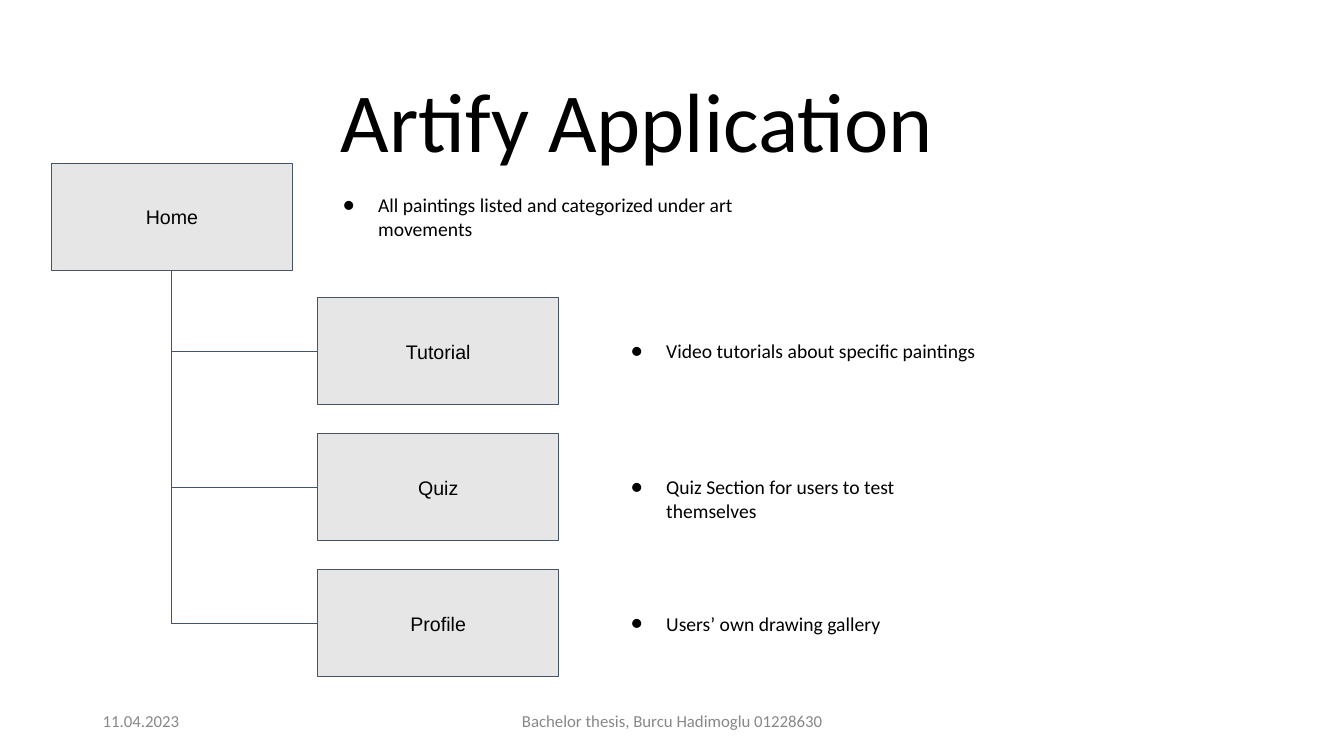
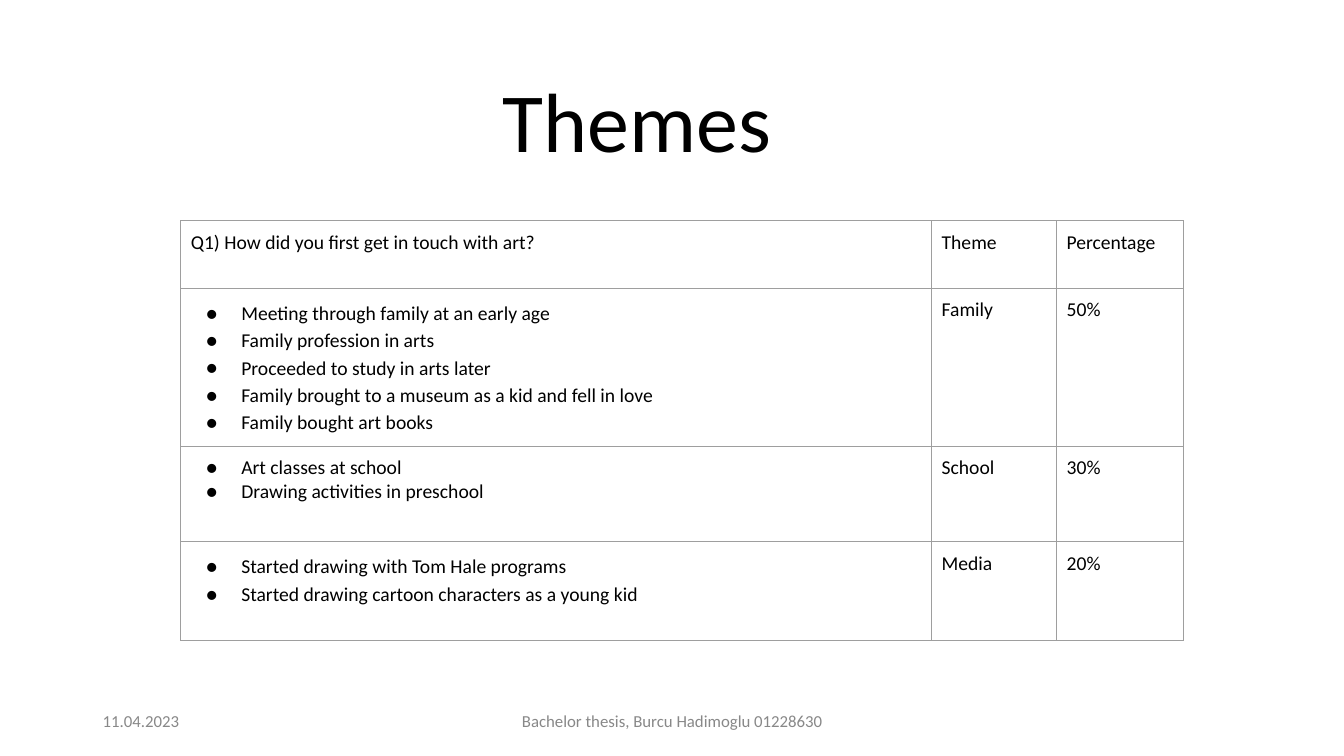
"""Build two thesis slides: the application structure and the interview themes."""
from lxml.etree import SubElement
from pptx import Presentation
from pptx.dml.color import RGBColor
from pptx.enum.shapes import MSO_CONNECTOR, MSO_SHAPE
from pptx.enum.text import MSO_ANCHOR, MSO_AUTO_SIZE, PP_ALIGN
from pptx.oxml.ns import qn
from pptx.util import Cm, Pt

BLACK = RGBColor(0x00, 0x00, 0x00)
FOOTER_GRAY = RGBColor(0x88, 0x88, 0x88)
BOX_GRAY = RGBColor(0xE7, 0xE6, 0xE6)
SLATE = RGBColor(0x44, 0x54, 0x6A)
GRID_GRAY = RGBColor(0x9E, 0x9E, 0x9E)
LINE_WIDTH = Pt(0.75)
PADDING = 0.25
BOX_WIDTH, BOX_HEIGHT = 6.07, 2.7


class SlideBuilder:
    """Hold the deck style and the current slide."""

    def __init__(self):
        self.deck = Presentation()
        self.deck.slide_width = Cm(33.87)
        self.deck.slide_height = Cm(19.05)
        self.page = None

    def start(self, title):
        self.page = self.deck.slides.add_slide(self.deck.slide_layouts[6])
        self.text(title, 1.45, 1.27, 29.21, 3.15, size=60, align=PP_ALIGN.CENTER,
                  anchor=MSO_ANCHOR.BOTTOM, spacing=0.9)
        footer = dict(size=12, color=FOOTER_GRAY, anchor=MSO_ANCHOR.MIDDLE)
        self.text("11.04.2023", 2.34, 17.65, 7.62, 1.02, **footer)
        self.text("Bachelor thesis, Burcu Hadimoglu 01228630", 11.23, 17.65, 11.43, 1.02,
                  align=PP_ALIGN.CENTER, **footer)

    def style(self, paragraph, size=14, color=BLACK, name="Calibri",
              align=PP_ALIGN.LEFT, spacing=None, bullet=False):
        if bullet:
            self.bullet(paragraph)
        paragraph.alignment = align
        if spacing:
            paragraph.line_spacing = spacing
        paragraph.font.size = Pt(size)
        paragraph.font.name = name
        paragraph.font.color.rgb = color

    def bullet(self, paragraph):
        properties = paragraph._p.get_or_add_pPr()
        properties.set("marL", str(Cm(1.27)))
        properties.set("indent", str(-Cm(0.89)))
        tint = SubElement(properties, qn("a:buClr"))
        SubElement(tint, qn("a:srgbClr"), val=str(BLACK))
        SubElement(properties, qn("a:buFont"), typeface="Calibri")
        SubElement(properties, qn("a:buChar"), char="●")

    def pad(self, frame, vertical):
        frame.margin_left = frame.margin_right = Cm(PADDING)
        frame.margin_top = frame.margin_bottom = Cm(vertical)

    def text(self, words, left, top, width, height, anchor=MSO_ANCHOR.TOP,
             vertical=0.13, **style):
        box = self.page.shapes.add_textbox(Cm(left), Cm(top), Cm(width), Cm(height))
        frame = box.text_frame
        frame.word_wrap = True
        frame.vertical_anchor = anchor
        self.pad(frame, vertical)
        frame.text = words
        self.style(frame.paragraphs[0], **style)
        return box

    def note(self, words, left, top, width, height):
        box = self.text(words, left, top, width, height, vertical=PADDING, bullet=True)
        box.text_frame.auto_size = MSO_AUTO_SIZE.SHAPE_TO_FIT_TEXT

    def node(self, label, left, top):
        box = self.page.shapes.add_shape(MSO_SHAPE.RECTANGLE, Cm(left), Cm(top),
                                         Cm(BOX_WIDTH), Cm(BOX_HEIGHT))
        box.shadow.inherit = False
        box.fill.solid()
        box.fill.fore_color.rgb = BOX_GRAY
        box.line.color.rgb = SLATE
        box.line.width = LINE_WIDTH
        frame = box.text_frame
        frame.vertical_anchor = MSO_ANCHOR.MIDDLE
        self.pad(frame, PADDING)
        frame.text = label
        self.style(frame.paragraphs[0], name="Arial", align=PP_ALIGN.CENTER)
        return box

    def branch(self, child, parent):
        elbow = self.page.shapes.add_connector(
            MSO_CONNECTOR.ELBOW, child.left, child.top + child.height // 2,
            parent.left + parent.width // 2, parent.top + parent.height)
        elbow.begin_connect(child, 1)
        elbow.end_connect(parent, 2)
        elbow.line.color.rgb = SLATE
        elbow.line.width = LINE_WIDTH
        properties = elbow._element.spPr
        properties.find(qn("a:prstGeom")).set("prst", "bentConnector2")
        SubElement(properties, qn("a:effectLst"))

    def table(self, rows, left, top, widths, heights):
        table = self.page.shapes.add_table(len(rows), len(widths), Cm(left), Cm(top),
                                           Cm(sum(widths)), Cm(sum(heights))).table
        table.first_row = table.horz_banding = False
        for column, width in zip(table.columns, widths):
            column.width = Cm(width)
        for row, height, (entries, spacing) in zip(table.rows, heights, rows):
            row.height = Cm(height)
            for cell, entry in zip(row.cells, entries):
                self.cell(cell, entry, spacing)

    def cell(self, cell, entry, spacing):
        bulleted = isinstance(entry, list)
        self.pad(cell, PADDING)
        cell.text = "\n".join(entry) if bulleted else entry
        for paragraph in cell.text_frame.paragraphs:
            self.style(paragraph, bullet=bulleted, spacing=spacing if bulleted else None)
        properties = cell._tc.get_or_add_tcPr()
        for side in ("lnL", "lnR", "lnT", "lnB"):
            border = SubElement(properties, qn(f"a:{side}"), w=str(LINE_WIDTH))
            fill = SubElement(border, qn("a:solidFill"))
            SubElement(fill, qn("a:srgbClr"), val=str(GRID_GRAY))
        cell.fill.background()


def add_application(slides):
    slides.start("Artify Application")
    home = slides.node("Home", 1.3, 4.11)
    slides.note("All paintings listed and categorized under art movements",
                8.01, 4.62, 10.77, 1.7)
    sections = [
        ("Tutorial", "Video tutorials about specific paintings", 17.83, 1.12),
        ("Quiz", "Quiz Section for users to test themselves", 8.43, 1.7),
        ("Profile", "Users’ own drawing gallery", 10.97, 1.12),
    ]
    for index, (label, words, width, height) in enumerate(sections):
        top = 7.5 + index * 3.43
        slides.branch(slides.node(label, 8.01, top), home)
        slides.note(words, 15.27, top + 0.8, width, height)


def add_themes(slides):
    slides.start("Themes")
    rows = [
        (["Q1) How did you first get in touch with art?", "Theme", "Percentage"], None),
        ([["Meeting through family at an early age",
           "Family profession in arts",
           "Proceeded to study in arts later",
           "Family brought to a museum as a kid and fell in love",
           "Family bought art books"], "Family", "50%"], 1.15),
        ([["Art classes at school",
           "Drawing activities in preschool"], "School", "30%"], None),
        ([["Started drawing with Tom Hale programs",
           "Started drawing cartoon characters as a young kid"], "Media", "20%"], 1.15),
    ]
    slides.table(rows, 4.56, 5.56, (18.92, 3.15, 3.2), (1.7, 3.98, 2.41, 2.49))


def main():
    slides = SlideBuilder()
    add_application(slides)
    add_themes(slides)
    slides.deck.save("out.pptx")


if __name__ == "__main__":
    main()
